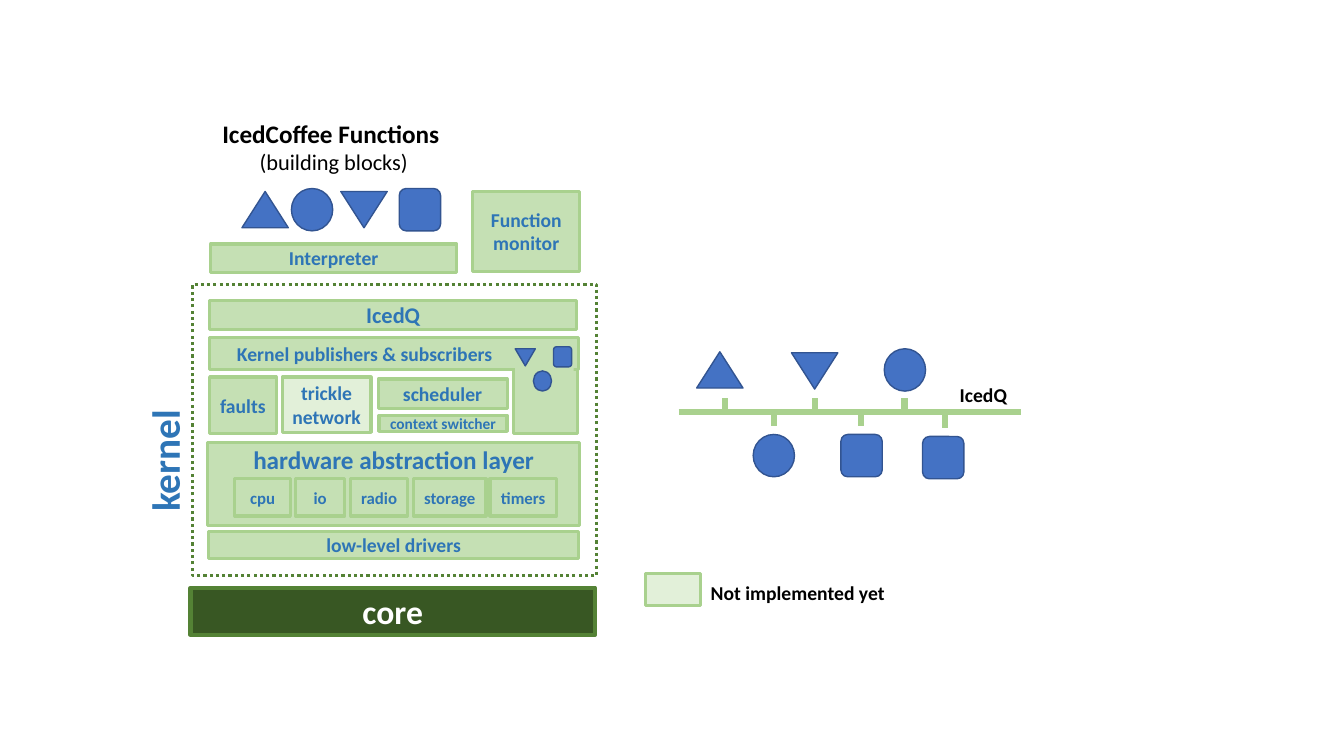
"""Build the kernel architecture slide with its message bus diagram."""
from lxml import etree
from pptx import Presentation
from pptx.dml.color import RGBColor
from pptx.enum.dml import MSO_LINE
from pptx.enum.shapes import MSO_CONNECTOR, MSO_SHAPE
from pptx.enum.text import MSO_ANCHOR, PP_ALIGN
from pptx.oxml.ns import qn
from pptx.util import Inches, Pt

CELL = Inches(0.1)
WHITE = RGBColor(0xFF, 0xFF, 0xFF)
BLACK = RGBColor(0x00, 0x00, 0x00)
DARK_GREEN = RGBColor(0x38, 0x57, 0x23)
GREEN = RGBColor(0x54, 0x82, 0x35)
EDGE_GREEN = RGBColor(0xA9, 0xD1, 0x8E)
LIGHT_GREEN = RGBColor(0xC5, 0xE0, 0xB4)
PALE_GREEN = RGBColor(0xE2, 0xF0, 0xD9)
TEXT_BLUE = RGBColor(0x2E, 0x75, 0xB6)
ICON_BLUE = RGBColor(0x44, 0x72, 0xC4)
ICON_EDGE = RGBColor(0x32, 0x54, 0x91)

deck = Presentation()
deck.slide_width, deck.slide_height = Inches(13.33), Inches(7.5)
page = deck.slides.add_slide(deck.slide_layouts[6])


def draw_shape(kind, place, fill=LIGHT_GREEN, edge=EDGE_GREEN, weight=2.25):
    """Draw a preset shape at a place given in grid cells."""
    shape = page.shapes.add_shape(kind, *[round(n * CELL) for n in place])
    shape.shadow.inherit = False
    if fill is None:
        shape.fill.background()
    else:
        shape.fill.solid()
        shape.fill.fore_color.rgb = fill
    if edge is None:
        shape.line.fill.background()
    else:
        shape.line.color.rgb = edge
        shape.line.width = Pt(weight)
    return shape


def write_text(box, text, size, color=TEXT_BLUE, align=PP_ALIGN.CENTER):
    """Fill a box with bold text, one paragraph for each line."""
    frame = box.text_frame
    frame.text = text
    for para in frame.paragraphs:
        para.alignment = align
        for span in para.runs:
            span.font.name = "Calibri"
            span.font.size = Pt(size)
            span.font.bold = True
            span.font.color.rgb = color
    return frame


core = draw_shape(MSO_SHAPE.RECTANGLE, (18.9, 58.3, 40.1, 4.7), DARK_GREEN, GREEN, 3)
write_text(core, "core", 24, WHITE)
kernel = draw_shape(MSO_SHAPE.RECTANGLE, (19.1, 28.2, 40.1, 28.9), None, GREEN)
kernel.line.dash_style = MSO_LINE.ROUND_DOT

blocks = [
    ("", 0, 20.6, 43.9, 36.9, 8.2, LIGHT_GREEN),
    ("faults", 14, 20.8, 37.4, 6.6, 5.6, LIGHT_GREEN),
    ("trickle network", 14, 28, 37.4, 8.8, 5.5, PALE_GREEN),
    ("scheduler", 14, 37.5, 37.6, 12.8, 2.9, LIGHT_GREEN),
    ("context switcher", 11, 37.6, 41.2, 12.7, 1.6, LIGHT_GREEN),
    ("low-level drivers", 14, 20.7, 52.7, 36.7, 2.7, LIGHT_GREEN),
    ("IcedQ", 16, 20.8, 29.8, 36.4, 2.9, LIGHT_GREEN),
    ("Kernel publishers & subscribers", 14, 20.8, 33.5, 36.6, 3.2, LIGHT_GREEN),
    ("", 0, 50.9, 36.7, 6.4, 6.3, LIGHT_GREEN),
    ("Interpreter", 14, 20.9, 24.2, 24.4, 2.8, LIGHT_GREEN),
    ("Function\nmonitor", 14, 46.9, 19, 10.6, 7.9, LIGHT_GREEN),
    ("", 0, 64, 56.9, 5.5, 3.2, PALE_GREEN),
]
for name, left, width in [("cpu", 23.3, 5.5), ("io", 29.3, 4.9), ("radio", 34.8, 5.6),
                          ("storage", 41, 7.2), ("timers", 48.6, 6.6)]:
    blocks.append((name, 12, left, 47.5, width, 3.7, LIGHT_GREEN))

for name, size, left, top, width, height, fill in blocks:
    block = draw_shape(MSO_SHAPE.RECTANGLE, (left, top, width, height), fill)
    if name:
        frame = write_text(block, name, size)
        frame.margin_left = frame.margin_right = CELL // 2
        frame.vertical_anchor = MSO_ANCHOR.MIDDLE
        if name.startswith("Kernel"):
            frame.margin_left = round(2.7 * CELL)
            frame.paragraphs[0].alignment = PP_ALIGN.LEFT

draw_shape(MSO_SHAPE.RECTANGLE, (51.1, 35.6, 5.8, 6.3), LIGHT_GREEN, None)

bus_lines = [(67.3, 40.9, 101.3, 40.9)]
bus_lines += [(x, 39.5, x, 40.9) for x in (71.9, 80.8, 89.7)]
bus_lines += [(x, 40.9, x, 42.3) for x in (76.8, 85.4)]
bus_lines.append((93.7, 41.2, 93.7, 42.5))
for ends in bus_lines:
    line = page.shapes.add_connector(MSO_CONNECTOR.STRAIGHT, *[round(n * CELL) for n in ends])
    line.line.color.rgb = EDGE_GREEN
    line.line.width = Pt(4.5)
    etree.SubElement(line._element.spPr, qn("a:effectLst"))

TRIANGLE, CIRCLE, SQUARE = MSO_SHAPE.ISOSCELES_TRIANGLE, MSO_SHAPE.OVAL, MSO_SHAPE.ROUNDED_RECTANGLE
icon_sets = [
    ((4.6, 3.6), [(TRIANGLE, 24, 19, 0), (TRIANGLE, 33.8, 19, 180),
                  (TRIANGLE, 69.1, 34.9, 0), (TRIANGLE, 78.5, 35, 180)]),
    ((4.1, 4.2), [(CIRCLE, 28.9, 18.7, 0), (SQUARE, 39.6, 18.7, 0), (CIRCLE, 74.7, 43.1, 0),
                  (CIRCLE, 87.7, 34.6, 0), (SQUARE, 83.4, 43.1, 0), (SQUARE, 91.5, 43.3, 0)]),
    ((2, 1.7), [(TRIANGLE, 51.1, 34.6, 180)]),
    ((1.8, 2), [(CIRCLE, 52.9, 36.8, 0), (SQUARE, 54.9, 34.4, 0)]),
]
for extent, icons in icon_sets:
    for kind, left, top, turn in icons:
        icon = draw_shape(kind, (left, top, *extent), ICON_BLUE, ICON_EDGE, 1)
        icon.rotation = turn

labels = [
    ("kernel", 28, TEXT_BLUE, PP_ALIGN.LEFT, (10.2, 42.8, 12.2, 5.7), 270),
    ("IcedCoffee Functions \n(building blocks)", 18, BLACK, PP_ALIGN.CENTER, (20.9, 11.2, 24.4, 6.7), 0),
    ("hardware abstraction layer", 18, TEXT_BLUE, PP_ALIGN.CENTER, (24, 43.6, 30.1, 4), 0),
    ("IcedQ", 14, BLACK, PP_ALIGN.LEFT, (94.2, 37.5, 8.8, 3.4), 0),
    ("Not implemented yet", 14, BLACK, PP_ALIGN.LEFT, (69.5, 57.1, 20, 3.4), 0),
]
for text, size, color, align, place, turn in labels:
    label = page.shapes.add_textbox(*[round(n * CELL) for n in place])
    label.rotation = turn
    frame = write_text(label, text, size, color, align)
    frame.word_wrap = False
    for para in frame.paragraphs[1:]:
        para.runs[0].font.size = Pt(16)
        para.runs[0].font.bold = False

deck.save("out.pptx")
